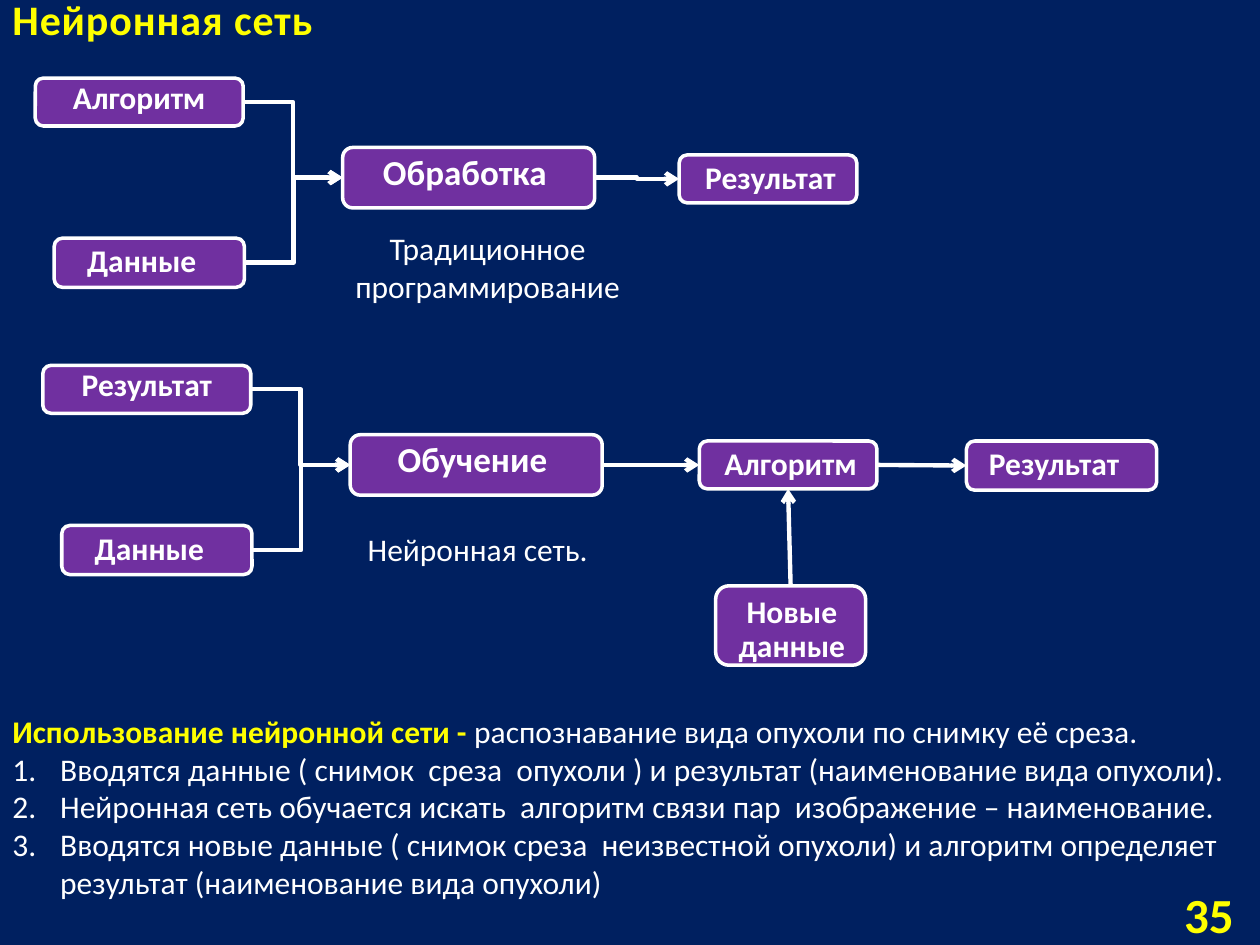
from dataclasses import dataclass

from lxml import etree
from pptx import Presentation
from pptx.dml.color import RGBColor
from pptx.enum import shapes, text
from pptx.oxml import ns
from pptx.util import Inches, Pt


@dataclass(frozen=True)
class Theme:
    font: str = "Calibri"
    background: RGBColor = RGBColor(0x00, 0x20, 0x60)
    accent: RGBColor = RGBColor(0xFF, 0xFF, 0x00)
    light: RGBColor = RGBColor(0xFF, 0xFF, 0xFF)
    node: RGBColor = RGBColor(0x70, 0x30, 0xA0)
    body: int = 18
    process: int = 20
    title: int = 24
    number: int = 28
    outline: float = 2
    arrow: float = 2.5


@dataclass(frozen=True)
class NodeStyle:
    """Size of a node, and its label box relative to its corner."""
    width: float
    height: float
    label: tuple
    size: int = Theme.body


THEME = Theme()
WIDE = NodeStyle(1.65, 0.38, (0, -0.02, 1.65, 0.37))
DATA = NodeStyle(1.51, 0.39, (0, 0.08, 1.39, 0.23))
PROCESS = NodeStyle(2, 0.48, (0.2, 0.13, 1.54, 0.16), THEME.process)
OUTPUT = NodeStyle(1.41, 0.38, (-0.06, 0, 1.57, 0.39))
TALL = NodeStyle(1.19, 0.63, (0.06, 0.16, 1.09, 0.38))

TOP, LEFT, BOTTOM, RIGHT = range(4)  # connection sites of a rounded rectangle
ALIGN = text.PP_ALIGN
ANCHOR = text.MSO_ANCHOR
LINE = shapes.MSO_CONNECTOR


def set_font(font, size, color=THEME.light, bold=False):
    font.name = THEME.font
    font.size = Pt(size)
    font.bold = bold
    font.color.rgb = color


def add_text(container, box, words, size, color=THEME.light, bold=False,
             align=ALIGN.LEFT, anchor=ANCHOR.TOP):
    frame = container.add_textbox(*map(Inches, box)).text_frame
    frame.word_wrap = True
    frame.vertical_anchor = anchor
    paragraph = frame.paragraphs[0]
    paragraph.text = words
    paragraph.alignment = align
    set_font(paragraph.font, size, color, bold)
    return frame


def add_node(slide, left, top, style, words):
    group = slide.shapes.add_group_shape()
    shape = group.shapes.add_shape(
        shapes.MSO_SHAPE.ROUNDED_RECTANGLE,
        *map(Inches, (left, top, style.width, style.height)))
    shape.shadow.inherit = False
    shape.fill.solid()
    shape.fill.fore_color.rgb = THEME.node
    shape.line.color.rgb = THEME.light
    shape.line.width = Pt(THEME.outline)

    dx, dy, width, height = style.label
    frame = add_text(group.shapes, (left + dx, top + dy, width, height), words,
                     style.size, bold=True, align=ALIGN.CENTER, anchor=ANCHOR.MIDDLE)
    frame.margin_left = frame.margin_right = Inches(0.03)
    frame.margin_top = frame.margin_bottom = Inches(0.03)
    frame.paragraphs[0].line_spacing = 0.9
    return shape


def add_arrow(slide, source, target, kind=LINE.ELBOW, sites=(RIGHT, LEFT)):
    connector = slide.shapes.add_connector(kind, 0, 0, 0, 0)
    connector.begin_connect(source, sites[0])
    connector.end_connect(target, sites[1])
    connector.line.color.rgb = THEME.light
    connector.line.width = Pt(THEME.arrow)
    etree.SubElement(connector.line._get_or_add_ln(), ns.qn("a:tailEnd"), type="arrow")
    etree.SubElement(connector._element.spPr, ns.qn("a:effectLst"))


def add_flow(slide, left, top, first_input, process, output, output_offset):
    """Draw two inputs joining in a process that gives an output; return the output."""
    inputs = (add_node(slide, left, top, WIDE, first_input),
              add_node(slide, left + 0.15, top + 1.27, DATA, "Данные"))
    process_node = add_node(slide, left + 2.44, top + 0.55, PROCESS, process)
    dx, dy = output_offset
    output_node = add_node(slide, left + dx, top + dy, OUTPUT, output)
    for node in inputs:
        add_arrow(slide, node, process_node)
    add_arrow(slide, process_node, output_node)
    return output_node


def add_traditional_flow(slide, left, top):
    add_flow(slide, left, top, "Алгоритм", "Обработка", "Результат", (5.11, 0.61))
    add_text(slide.shapes, (left + 2.44, top + 1.15, 2.3, 0.71),
             "Традиционное программирование", THEME.body, align=ALIGN.CENTER)


def add_network_flow(slide, left, top):
    algorithm = add_flow(slide, left, top, "Результат", "Обучение", "Алгоритм",
                         (5.21, 0.6))
    new_data = add_node(slide, left + 5.34, top + 1.75, TALL, "Новые\nданные")
    result = add_node(slide, left + 7.33, top + 0.6, DATA, "Результат")
    add_arrow(slide, new_data, algorithm, LINE.STRAIGHT, (TOP, BOTTOM))
    add_arrow(slide, algorithm, result, LINE.STRAIGHT)
    add_text(slide.shapes, (left + 2.48, top + 1.26, 1.97, 0.4),
             "Нейронная сеть.", THEME.body)


def add_usage(slide, box):
    frame = add_text(slide.shapes, box, "", THEME.body)
    heading = frame.paragraphs[0]
    for words, color, bold in (
            ("Использование нейронной сети - ", THEME.accent, True),
            ("распознавание вида опухоли по снимку её среза.", THEME.light, False)):
        run = heading.add_run()
        run.text = words
        set_font(run.font, THEME.body, color, bold)

    for step in (
            "Вводятся данные ( снимок  среза  опухоли ) и результат "
            "(наименование вида опухоли).",
            "Нейронная сеть обучается искать  алгоритм связи пар  "
            "изображение – наименование.",
            "Вводятся новые данные ( снимок среза  неизвестной опухоли) и алгоритм "
            "определяет результат (наименование вида опухоли)"):
        paragraph = frame.add_paragraph()
        paragraph.text = step
        properties = paragraph._p.get_or_add_pPr()
        properties.set("marL", str(Inches(0.38)))
        properties.set("indent", str(-Inches(0.38)))
        etree.SubElement(properties, ns.qn("a:buAutoNum"), type="arabicPeriod")
        set_font(paragraph.font, THEME.body)


def add_title(slide, box):
    frame = add_text(slide.shapes, box, "Нейронная сеть", THEME.title,
                     THEME.accent, True, anchor=ANCHOR.BOTTOM)
    frame.paragraphs[0].runs[0]._r.get_or_add_rPr().set("spc", "50")


def main():
    presentation = Presentation()
    presentation.slide_width = Inches(10)
    presentation.slide_height = Inches(7.5)
    slide = presentation.slides.add_slide(presentation.slide_layouts[6])
    slide.background.fill.solid()
    slide.background.fill.fore_color.rgb = THEME.background

    add_title(slide, (0, 0.01, 3.19, 0.39))
    add_traditional_flow(slide, 0.28, 0.62)
    add_network_flow(slide, 0.34, 2.9)
    add_usage(slide, (0, 5.6, 10, 1.62))
    add_text(slide.shapes, (8.78, 7.05, 1.11, 0.4), "35", THEME.number,
             THEME.accent, True, ALIGN.RIGHT, ANCHOR.MIDDLE)
    presentation.save("out.pptx")


if __name__ == "__main__":
    main()
